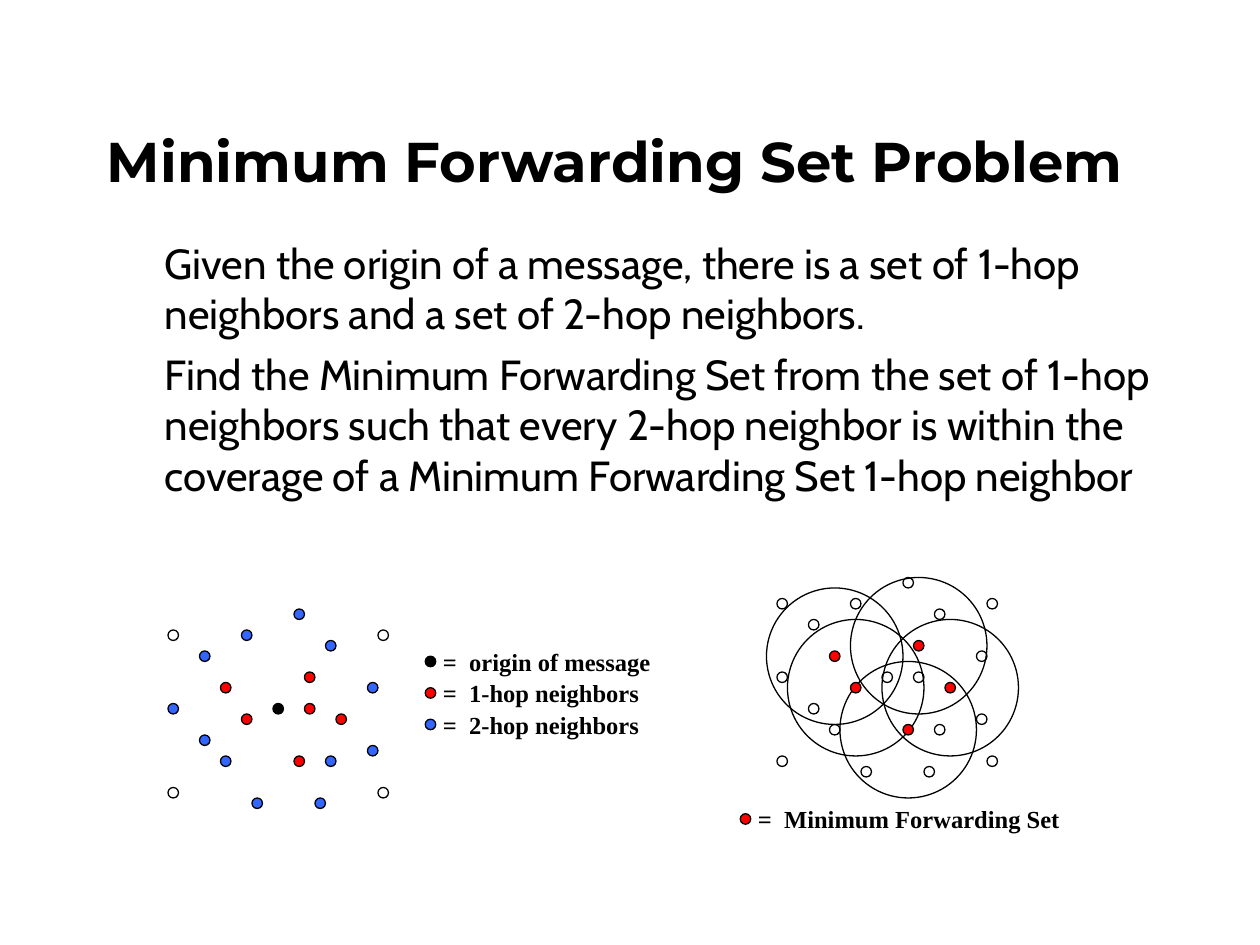
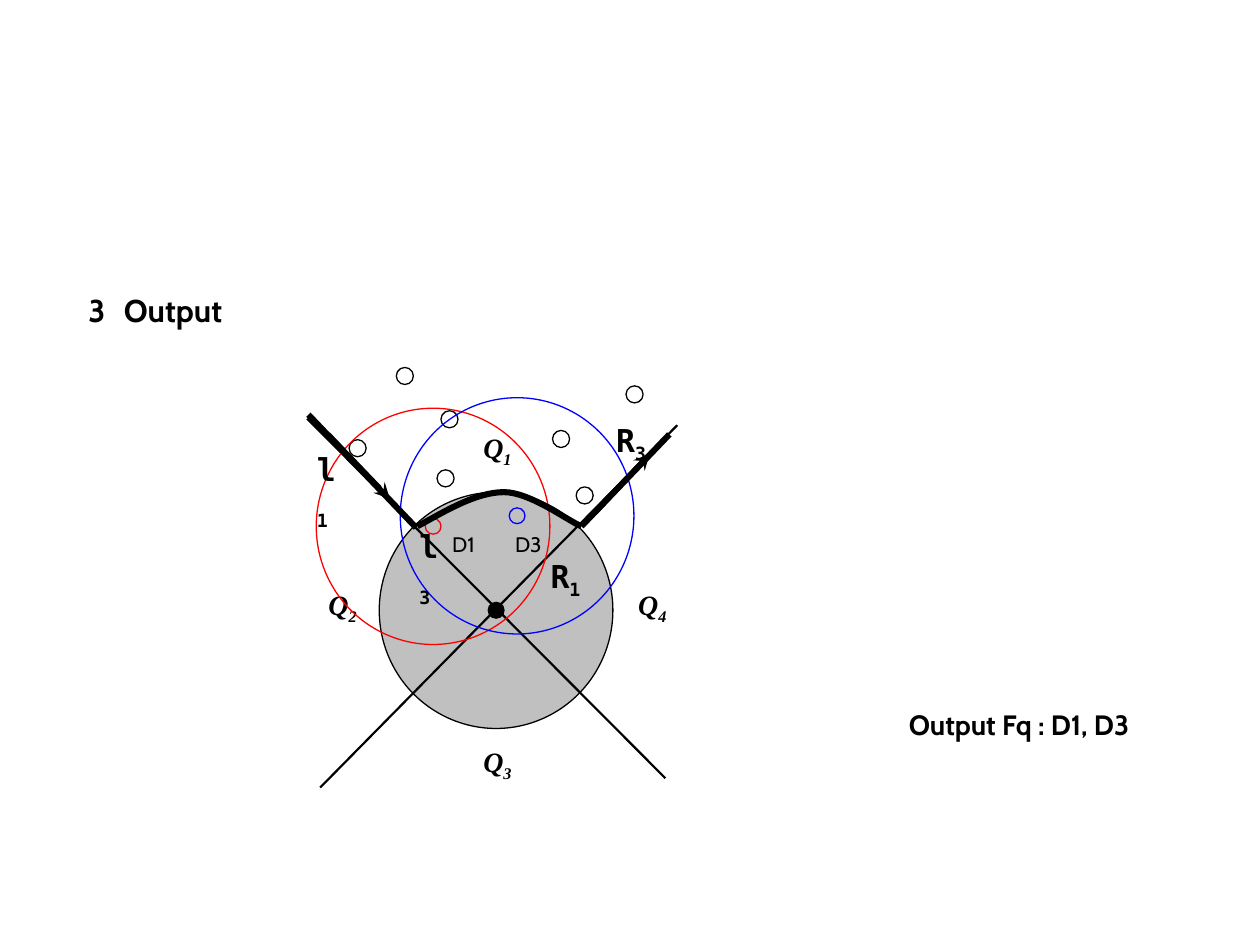
from typing import NamedTuple, Optional

from lxml.etree import SubElement
from pptx import Presentation
from pptx.dml.color import RGBColor
from pptx.enum.shapes import MSO_CONNECTOR as Connector, MSO_SHAPE as Preset
from pptx.enum.text import MSO_ANCHOR as Anchor, PP_ALIGN as Align
from pptx.oxml.ns import qn
from pptx.util import Pt

PX = 9525
CELL = 8

BLACK = RGBColor(0x00, 0x00, 0x00)
RED = RGBColor(0xFF, 0x00, 0x00)
SKY = RGBColor(0x33, 0x66, 0xFF)
BLUE = RGBColor(0x00, 0x00, 0xFF)
GRAY = RGBColor(0xC0, 0xC0, 0xC0)

HEADING, BODY, SERIF, MONO = "Montserrat", "Cabin", "Times New Roman", "DejaVu Sans Mono"


class Nodes(NamedTuple):
    cells: list[tuple[int, int]]
    fill: Optional[RGBColor] = None


class Key(NamedTuple):
    x: int
    y: int
    width: int
    fill: RGBColor
    meaning: str


class Disk(NamedTuple):
    x: int
    y: int
    line: RGBColor
    fill: Optional[RGBColor] = None
    dot_fill: Optional[RGBColor] = None


class Segment(NamedTuple):
    start: tuple[int, int]
    end: tuple[int, int]
    weight: float
    arrow: bool = False


class Label(NamedTuple):
    x: int
    y: int
    width: int
    height: int
    letter: str
    sub: str


NETWORK = [
    Nodes([(26, 67)], BLACK),
    Nodes([(29, 64), (32, 68), (28, 72), (21, 65), (29, 67), (23, 68)], RED),
    Nodes([(23, 60), (28, 58), (31, 72), (21, 72), (19, 70), (30, 76), (35, 71),
           (35, 65), (16, 67), (24, 76), (19, 62), (31, 61)], SKY),
    Nodes([(36, 60), (16, 60), (16, 75), (36, 75)]),
]
FORWARDING_SET = Nodes([(90, 65), (87, 61), (79, 62), (81, 65), (86, 69)], RED)
OTHER_NODES = Nodes([
    (84, 64), (87, 64), (81, 57), (86, 55), (94, 57), (89, 69), (79, 69), (77, 67), (88, 73),
    (93, 68), (93, 62), (74, 57), (74, 64), (74, 72), (82, 73), (94, 72), (77, 59), (89, 58),
])
LEGEND = [
    Key(324, 500, 190, BLACK, "origin of message"),
    Key(324, 524, 190, RED, "1-hop neighbors"),
    Key(324, 548, 190, SKY, "2-hop neighbors"),
    Key(564, 620, 260, RED, "Minimum Forwarding Set"),
]

SOURCE_DISK = Disk(372, 459, BLACK, GRAY, BLACK)
NEIGHBOR_DISKS = [Disk(324, 395, RED), Disk(388, 387, BLUE)]
AXES = [Segment((244, 600), (516, 324), 1.25), Segment((234, 319), (507, 593), 1.25)]
BOUNDARY = [Segment((443, 401), (510, 331), 3.5), Segment((317, 402), (235, 316), 3.5)]
DIRECTIONS = [Segment((250, 331), (297, 380), 3, True), Segment((453, 391), (495, 346), 3, True)]
SKYLINE = [(318, 401), (340, 389), (363, 375), (384, 375), (404, 375), (433, 397), (443, 401)]
QUADRANTS = [Label(344, 323, 70, 39, "Q", "1"), Label(344, 562, 70, 39, "Q", "3"),
             Label(462, 443, 70, 39, "Q", "4"), Label(226, 443, 70, 39, "Q", "2")]
CROSSINGS = [Label(310, 397, 36, 42, "l", "3"), Label(460, 316, 57, 42, "R", "3"),
             Label(232, 338, 36, 42, "l", "1"), Label(410, 420, 42, 71, "R", "1")]
TWO_HOP = [(439, 371), (333, 358), (336, 313), (421, 328), (266, 335), (302, 280), (477, 294)]


def put_text(slide, x: int, y: int, width: int, height: int, text: str, *, size: float,
             font: str = BODY, bold: bool = False, italic: bool = False, sub: str = "",
             anchor=Anchor.TOP, align=Align.LEFT, before: float = 0, hang: int = 0) -> None:
    frame = slide.shapes.add_textbox(x * PX, y * PX, width * PX, height * PX).text_frame
    frame.word_wrap = True
    frame.vertical_anchor = anchor
    for index, line in enumerate(text.split("\n")):
        paragraph = frame.add_paragraph() if index else frame.paragraphs[0]
        paragraph.alignment = align
        paragraph.space_before = Pt(before)
        if hang:
            properties = paragraph._p.get_or_add_pPr()
            properties.set("marL", str(hang * PX))
            properties.set("indent", str(-hang * PX))
        for piece in filter(None, (line, sub)):
            run = paragraph.add_run()
            run.text = piece
            run.font.size = Pt(size)
            run.font.name = font
            run.font.bold = bold
            run.font.italic = italic
            run.font.color.rgb = BLACK
        if sub:
            run._r.get_or_add_rPr().set("baseline", "-25000")


def style_outline(shape, fill: Optional[RGBColor], line: RGBColor, weight: float) -> None:
    shape.shadow.inherit = False
    if fill is None:
        shape.fill.background()
    else:
        shape.fill.solid()
        shape.fill.fore_color.rgb = fill
    shape.line.color.rgb = line
    shape.line.width = Pt(weight)


def put_circle(slide, x: int, y: int, width: int, height: int,
               fill: Optional[RGBColor] = None, line: RGBColor = BLACK) -> None:
    circle = slide.shapes.add_shape(Preset.OVAL, x * PX, y * PX, width * PX, height * PX)
    style_outline(circle, fill, line, 0.75)


def put_nodes(slide, nodes: Nodes) -> None:
    for column, row in nodes.cells:
        put_circle(slide, column * CELL, row * CELL, CELL, CELL, nodes.fill)


def put_key(slide, key: Key) -> None:
    put_text(slide, key.x + 4, key.y - 12, key.width, 32, f"=\t{key.meaning}", size=14,
             font=SERIF, bold=True, anchor=Anchor.MIDDLE, hang=20)
    put_circle(slide, key.x, key.y, CELL, CELL, key.fill)


def put_disk(slide, disk: Disk) -> None:
    put_circle(slide, disk.x - 83, disk.y - 84, 178, 180, disk.fill, disk.line)
    put_circle(slide, disk.x, disk.y, 12, 12, disk.dot_fill, disk.line)


def put_segment(slide, segment: Segment) -> None:
    ends = [value * PX for value in segment.start + segment.end]
    connector = slide.shapes.add_connector(Connector.STRAIGHT, *ends)
    connector.line.color.rgb = BLACK
    connector.line.width = Pt(segment.weight)
    if segment.arrow:
        SubElement(connector.line._get_or_add_ln(), qn("a:tailEnd"), type="stealth")
    SubElement(connector._element.spPr, qn("a:effectLst"))


def put_curve(slide, points: list[tuple[int, int]], weight: float) -> None:
    builder = slide.shapes.build_freeform(*points[0], scale=PX)
    builder.add_line_segments(points[1:], close=False)
    curve = builder.convert_to_shape()
    style_outline(curve, None, BLACK, weight)
    steps = list(curve._element.iter(qn("a:lnTo")))
    outline = steps[0].getparent()
    for first in range(0, len(steps), 3):
        bezier = SubElement(outline, qn("a:cubicBezTo"))
        for step in steps[first:first + 3]:
            bezier.append(step[0])
            outline.remove(step)


def build_problem(slide) -> None:
    put_text(slide, 72, 32, 848, 120, "Minimum Forwarding Set Problem", size=32,
             font=HEADING, bold=True, anchor=Anchor.BOTTOM)
    put_text(slide, 116, 176, 780, 440,
             "Given the origin of a message, there is a set of 1-hop neighbors and a set of "
             "2-hop neighbors.\n"
             "Find the Minimum Forwarding Set from the set of 1-hop neighbors such that every "
             "2-hop neighbor is within the coverage of a Minimum Forwarding Set 1-hop neighbor",
             size=24, before=6)
    for nodes in NETWORK:
        put_nodes(slide, nodes)
    for column, row in FORWARDING_SET.cells:
        put_circle(slide, (column - 6) * CELL, (row - 6) * CELL, 13 * CELL, 13 * CELL)
    put_nodes(slide, FORWARDING_SET)
    put_nodes(slide, OTHER_NODES)
    for key in LEGEND:
        put_key(slide, key)


def build_output(slide) -> None:
    put_text(slide, 58, 217, 300, 40, "3\tOutput", size=18, bold=True, hang=27)
    put_disk(slide, SOURCE_DISK)
    for axis in AXES:
        put_segment(slide, axis)
    for label in QUADRANTS:
        put_text(slide, *label[:5], sub=label.sub, size=16, font=SERIF, bold=True, italic=True,
                 anchor=Anchor.MIDDLE, align=Align.CENTER)
    for x, y in TWO_HOP:
        put_circle(slide, x, y, 13, 13)
    for disk in NEIGHBOR_DISKS:
        put_disk(slide, disk)
    for segment in BOUNDARY:
        put_segment(slide, segment)
    put_curve(slide, SKYLINE, 3.5)
    for segment in DIRECTIONS:
        put_segment(slide, segment)
    for label in CROSSINGS:
        put_text(slide, *label[:5], sub=label.sub, size=18, font=MONO, bold=True)
    for x, neighbor in ((335, "D1"), (383, "D3")):
        put_text(slide, x, 400, 50, 29, neighbor, size=12)
    put_text(slide, 683, 534, 230, 36, "Output Fq : D1, D3", size=16, bold=True)


def main() -> None:
    deck = Presentation()
    deck.slide_width, deck.slide_height = 960 * PX, 720 * PX
    for build in (build_problem, build_output):
        build(deck.slides.add_slide(deck.slide_layouts[6]))
    deck.save("out.pptx")


if __name__ == "__main__":
    main()
